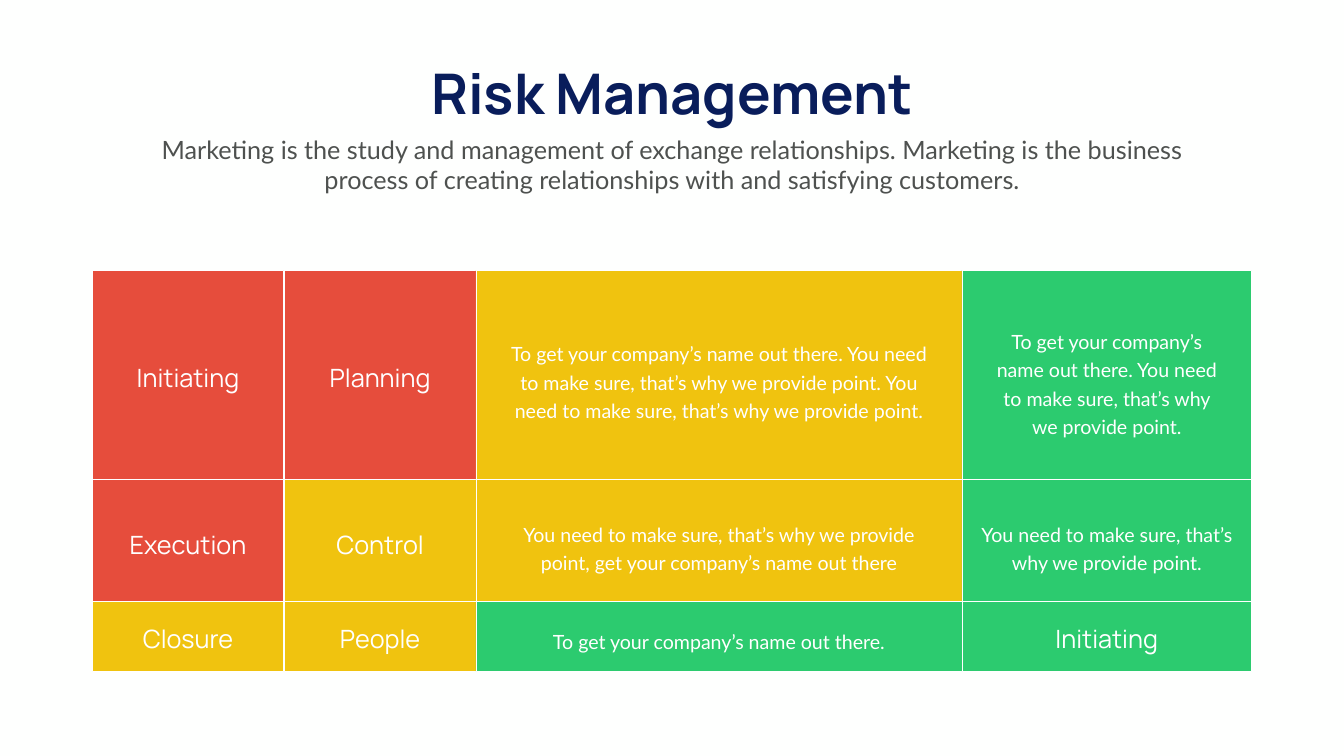
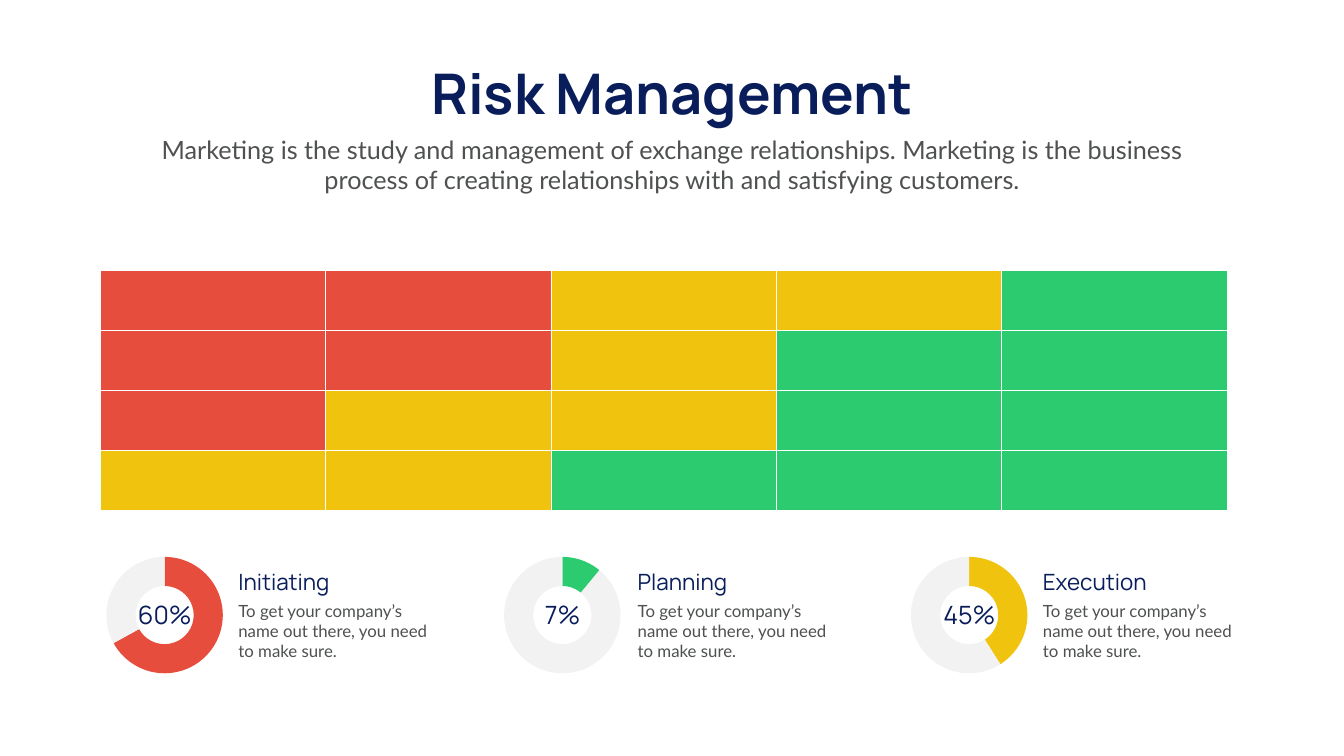
from lxml import etree
from pptx import Presentation
from pptx.chart.data import CategoryChartData
from pptx.dml.color import RGBColor
from pptx.enum.chart import XL_CHART_TYPE
from pptx.enum.shapes import MSO_SHAPE
from pptx.enum.text import MSO_AUTO_SIZE, PP_ALIGN
from pptx.oxml import parse_xml
from pptx.oxml.ns import nsdecls, qn
from pptx.util import Inches, Pt

COLORS = {
    "background": "FEFFFE",
    "navy": "091D5B",
    "gray": "4E514F",
    "white": "FFFFFF",
    "track": "F2F2F2",
    "red": "E64D3C",
    "yellow": "F0C30F",
    "green": "2CCB6F",
}
RISK_LEVELS = {"R": "red", "Y": "yellow", "G": "green"}
SUBTITLE = (
    "Marketing is the study and management of exchange relationships. "
    "Marketing is the business process of creating relationships with and satisfying customers."
)


def color(name):
    return RGBColor.from_string(COLORS[name])


def write(frame, text, size=36, font="Manrope", fill="navy", bold=False,
          align=PP_ALIGN.CENTER, spacing=None):
    paragraph = frame.paragraphs[0]
    paragraph.alignment = align
    if spacing:
        paragraph.line_spacing = Pt(spacing)
    run = paragraph.add_run()
    run.text = text
    run.font.size = Pt(size)
    run.font.name = font
    run.font.bold = bold
    run.font.color.rgb = color(fill)


class Deck:
    def __init__(self):
        self.presentation = Presentation()
        self.presentation.slide_width = Inches(26.66)
        self.presentation.slide_height = Inches(15)
        self.shapes = None
        self.slide = None

    def add_slide(self):
        self.slide = self.presentation.slides.add_slide(self.presentation.slide_layouts[6])
        background = self.slide.background.fill
        background.solid()
        background.fore_color.rgb = color("background")
        self.shapes = self.slide.shapes
        self.text("Risk Management", 7.99, 1.12, 10.68, 1.45, wrap=False, size=80, bold=True)
        self.text(SUBTITLE, 2.92, 2.61, 20.82, 1.31, font="Lato", fill="gray")

    def start_group(self):
        self.shapes = self.slide.shapes.add_group_shape().shapes

    def text(self, text, left, top, width, height, wrap=True, inset=0.05, **style):
        box = self.shapes.add_textbox(Inches(left), Inches(top), Inches(width), Inches(height))
        frame = box.text_frame
        frame.word_wrap = wrap
        frame.auto_size = MSO_AUTO_SIZE.SHAPE_TO_FIT_TEXT
        frame.margin_top = frame.margin_bottom = Inches(inset)
        write(frame, text, **style)

    def cell(self, left, top, width, height, level):
        shape = self.shapes.add_shape(
            MSO_SHAPE.RECTANGLE, Inches(left), Inches(top), Inches(width), Inches(height))
        shape.shadow.inherit = False
        shape.fill.solid()
        shape.fill.fore_color.rgb = color(RISK_LEVELS[level])
        shape.line.color.rgb = color("white")
        shape.line.width = Pt(1)

    def doughnut(self, left, top, share, level):
        data = CategoryChartData()
        data.categories = ["1", "2"]
        data.add_series("Series 1", [share, 100 - share])
        chart = self.shapes.add_chart(
            XL_CHART_TYPE.DOUGHNUT, Inches(left), Inches(top),
            Inches(2.75), Inches(2.57), data).chart
        chart.has_legend = False
        chart.has_title = False
        chart.font.size = Pt(10)
        chart.font.name = "Calibri"
        chart.font.color.rgb = color("gray")
        plot = chart.plots[0]
        plot.has_data_labels = False
        plot.vary_by_categories = True
        for index, name in enumerate([RISK_LEVELS[level], "track"]):
            point = plot.series[0].points[index]
            point.format.fill.solid()
            point.format.fill.fore_color.rgb = color(name)
            point.format.line.fill.background()
        area = chart.element.find(".//" + qn("c:plotArea"))
        area.find(".//" + qn("c:holeSize")).set("val", "75")
        for layout in area.findall(qn("c:layout")):
            area.remove(layout)
        layout = parse_xml(f"<c:layout {nsdecls('c')}/>")
        manual = etree.SubElement(layout, qn("c:manualLayout"))
        settings = {"layoutTarget": "inner", "xMode": "edge", "yMode": "edge",
                    "x": "0.08", "y": "0.05", "w": "0.84", "h": "0.9"}
        for tag, value in settings.items():
            etree.SubElement(manual, qn(f"c:{tag}")).set("val", value)
        area.insert(0, layout)


def build_phase_matrix(deck):
    deck.add_slide()
    columns = [(1.83, 3.8), (5.64, 3.8), (9.44, 9.64), (19.08, 5.75)]
    rows = [(5.36, 4.15, "RRYG"), (9.51, 2.46, "RYYG"), (11.94, 1.38, "YYGG")]
    for top, height, levels in rows:
        for (left, width), level in zip(columns, levels):
            deck.cell(left, top, width, height, level)

    def centered(text, column, top, width, height, **style):
        left, column_width = columns[column]
        deck.text(text, left + (column_width - width) / 2, top, width, height,
                  fill="white", **style)

    labels = [
        (7.13, {0: "Initiating", 1: "Planning"}),
        (10.46, {0: "Execution", 1: "Control"}),
        (12.32, {0: "Closure", 1: "People", 3: "Initiating"}),
    ]
    for top, names in labels:
        for column, name in names.items():
            centered(name, column, top, 2.9, 0.71)

    descriptions = [
        (2, 6.67, 8.74, 1.54, "To get your company’s name out there. You need to make sure, "
         "that’s why we provide point. You need to make sure, that’s why we provide point."),
        (3, 6.42, 4.6, 2.04, "To get your company’s name out there. You need to make sure, "
         "that’s why we provide point."),
        (2, 10.25, 8.22, 1.04, "You need to make sure, that’s why we provide point, "
         "get your company’s name out there"),
        (3, 10.25, 5.25, 1.04, "You need to make sure, that’s why we provide point."),
        (2, 12.37, 7.81, 0.54, "To get your company’s name out there."),
    ]
    for column, top, width, height, text in descriptions:
        centered(text, column, top, width, height, inset=0.02,
                 size=28, font="Lato", spacing=40.8)


def build_heat_map(deck):
    deck.add_slide()
    deck.start_group()
    width, height = 4.47, 1.19
    for row, levels in enumerate(["RRYYG", "RRYGG", "RYYGG", "YYGGG"]):
        for column, level in enumerate(levels):
            deck.cell(1.99 + column * width, 5.37 + row * height, width, height, level)

    top = 10.92
    indicators = [
        (1.89, 4.63, "Initiating", "60%", 67, "R"),
        (9.78, 12.55, "Planning", "7%", 11, "G"),
        (17.85, 20.59, "Execution", "45%", 41, "Y"),
    ]
    for left, text_left, name, label, share, level in indicators:
        deck.start_group()
        deck.doughnut(left, top, share, level)
        deck.text(label, left + 0.61, top + 0.92, 1.54, 0.71)
        deck.text(name, text_left, 11.22, 4.18, 0.64, size=32, align=PP_ALIGN.LEFT)
        deck.text("To get your company’s name out there, you need to make sure.",
                  text_left, 11.86, 4.18, 1.31, size=24, font="Lato", fill="gray",
                  align=PP_ALIGN.LEFT)


def main():
    deck = Deck()
    build_phase_matrix(deck)
    build_heat_map(deck)
    deck.presentation.save("out.pptx")


if __name__ == "__main__":
    main()
